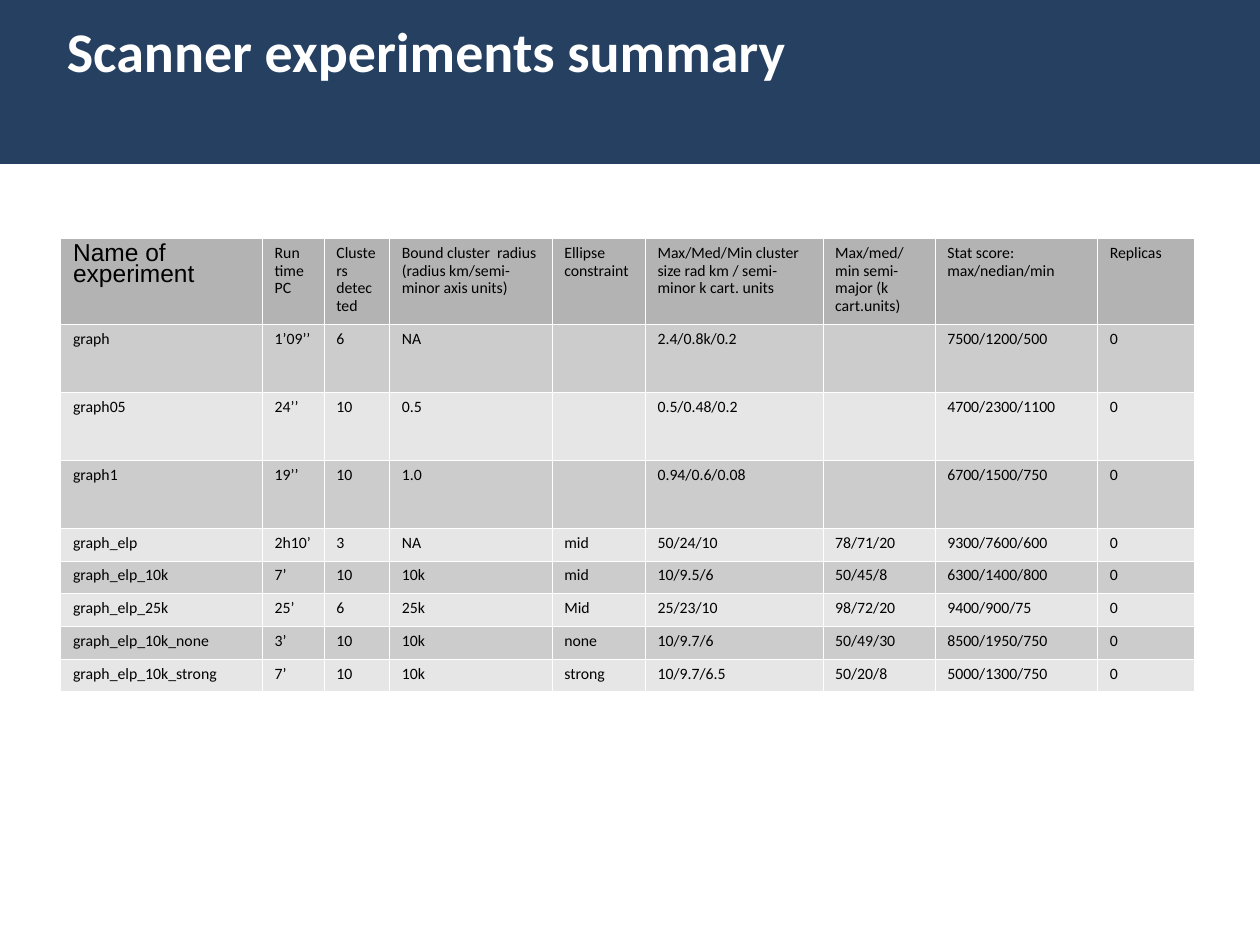
from lxml.etree import SubElement
from pptx import Presentation
from pptx.dml.color import RGBColor
from pptx.enum.shapes import MSO_SHAPE
from pptx.enum.text import MSO_ANCHOR, MSO_AUTO_SIZE, PP_ALIGN
from pptx.oxml import parse_xml
from pptx.oxml.ns import nsdecls, qn
from pptx.util import Inches, Pt


def rgb(value):
    return RGBColor.from_string(value)


def add_borders(cell, color, width):
    tcPr = cell._tc.get_or_add_tcPr()
    for i, side in enumerate(("lnL", "lnR", "lnT", "lnB")):
        ln = parse_xml(f'<a:{side} {nsdecls("a")} w="{Pt(width)}"/>')
        fill = SubElement(ln, qn("a:solidFill"))
        SubElement(fill, qn("a:srgbClr")).set("val", color)
        tcPr.insert(i, ln)


prs = Presentation()
prs.slide_width = Inches(10)
prs.slide_height = Inches(7.5)
s = prs.slides.add_slide(prs.slide_layouts[5])

banner = s.shapes.add_shape(
    MSO_SHAPE.RECTANGLE, Inches(0), Inches(-0.01), Inches(10), Inches(1.31))
banner.shadow.inherit = False
banner.fill.solid()
banner.fill.fore_color.rgb = rgb("254061")
banner.line.fill.background()
s.shapes._spTree.insert(2, banner._element)

title = s.shapes.title
title.left, title.top = Inches(0.43), Inches(0.08)
title.width, title.height = Inches(9.57), Inches(0.63)
title.fill.solid()
title.fill.fore_color.rgb = rgb("254061")
tf = title.text_frame
tf.text = "Scanner experiments summary"
tf.word_wrap = True
tf.auto_size = MSO_AUTO_SIZE.NONE
tf.vertical_anchor = MSO_ANCHOR.TOP
p = tf.paragraphs[0]
p.alignment = PP_ALIGN.LEFT
r = p.runs[0]
r.font.name = "Calibri"
r.font.size = Pt(32)
r.font.bold = True
r.font.color.rgb = rgb("FFFFFF")

rows = [
    ["Name of experiment", "Run time PC", "Clusters detected",
     "Bound cluster  radius (radius km/semi-minor axis units)",
     "Ellipse constraint",
     "Max/Med/Min cluster size rad km / semi-minor k cart. units",
     "Max/med/min semi-major (k cart.units)",
     "Stat score:  max/nedian/min", "Replicas"],
    ["graph", "1’09’’", "6", "NA", "", "2.4/0.8k/0.2", "", "7500/1200/500", "0"],
    ["graph05", "24’’", "10", "0.5", "", "0.5/0.48/0.2", "", "4700/2300/1100", "0"],
    ["graph1", "19’’", "10", "1.0", "", "0.94/0.6/0.08", "", "6700/1500/750", "0"],
    ["graph_elp", "2h10’", "3", "NA", "mid", "50/24/10", "78/71/20",
     "9300/7600/600", "0"],
    ["graph_elp_10k", "7’", "10", "10k", "mid", "10/9.5/6", "50/45/8",
     "6300/1400/800", "0"],
    ["graph_elp_25k", "25’", "6", "25k", "Mid", "25/23/10", "98/72/20",
     "9400/900/75", "0"],
    ["graph_elp_10k_none", "3’", "10", "10k", "none", "10/9.7/6", "50/49/30",
     "8500/1950/750", "0"],
    ["graph_elp_10k_strong", "7’", "10", "10k", "strong", "10/9.7/6.5", "50/20/8",
     "5000/1300/750", "0"],
]
col_widths = [1.6, 0.49, 0.52, 1.29, 0.74, 1.41, 0.89, 1.29, 0.77]
row_heights = [0.68] + [0.54] * 3 + [0.26] * 5

table = s.shapes.add_table(
    len(rows), len(col_widths), Inches(0.48), Inches(1.89),
    Inches(sum(col_widths)), Inches(sum(row_heights))).table
table.first_row = False
table.horz_banding = False
for col, width in zip(table.columns, col_widths):
    col.width = Inches(width)
for row, height in zip(table.rows, row_heights):
    row.height = Inches(height)

for i, texts in enumerate(rows):
    row_fill = "B3B3B3" if i == 0 else ("E6E6E6", "CCCCCC")[i % 2]
    for j, text in enumerate(texts):
        cell = table.cell(i, j)
        cell.fill.solid()
        cell.fill.fore_color.rgb = rgb(row_fill)
        add_borders(cell, "FFFFFF", 0.06)
        if not text:
            continue
        corner = i == j == 0
        cell.text_frame.text = text
        p = cell.text_frame.paragraphs[0]
        p.line_spacing = 0.76 if corner else 0.92
        r = p.runs[0]
        r.font.name = "Arial" if corner else "Calibri"
        r.font.size = Pt(14 if corner else 9)
        r.font.color.rgb = rgb("000000")

prs.save("out.pptx")
